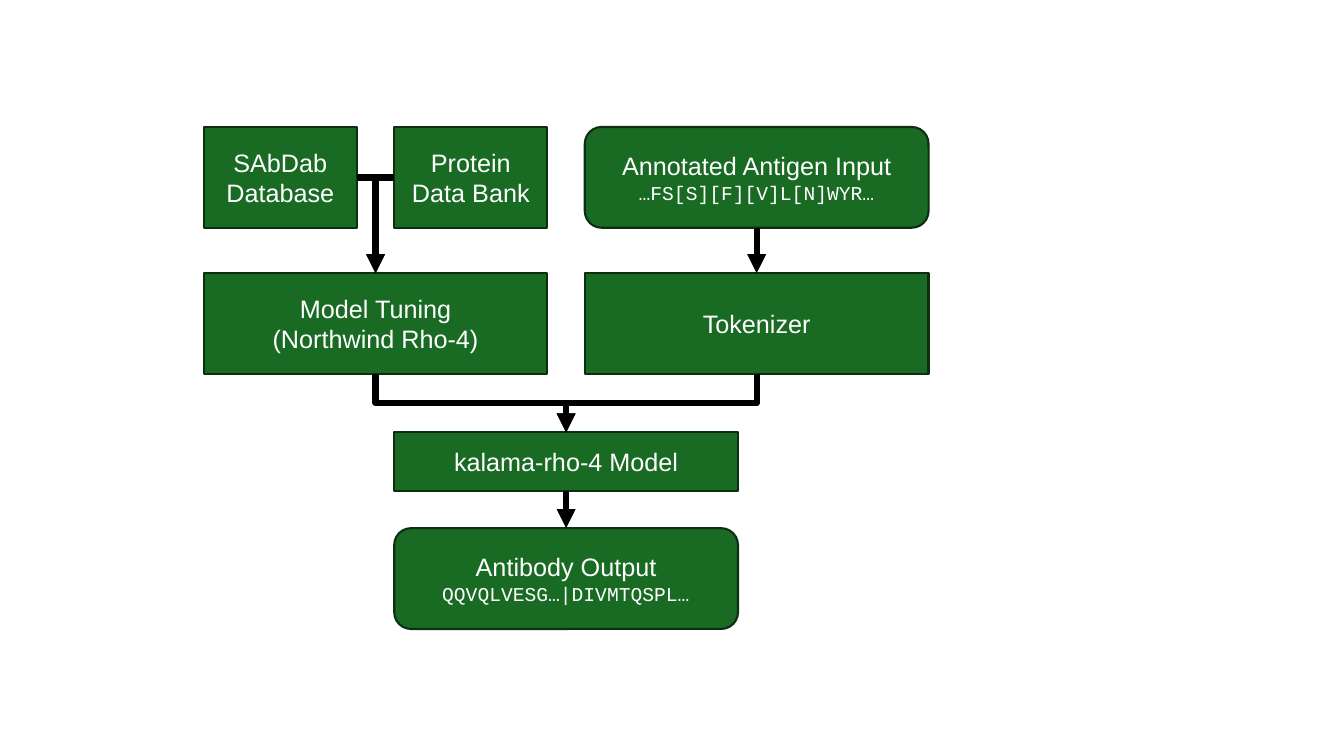
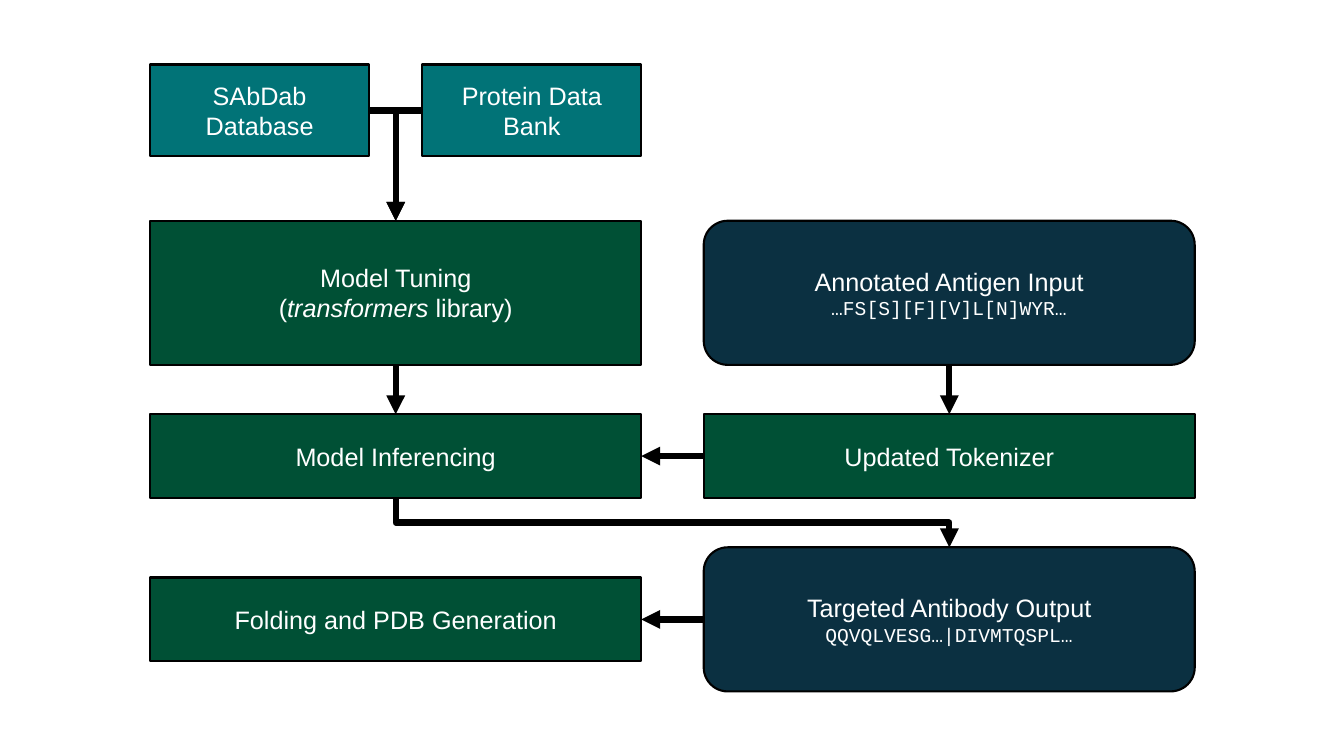
from pptx import Presentation
from pptx.dml.color import RGBColor
from pptx.enum.shapes import MSO_CONNECTOR, MSO_SHAPE
from pptx.enum.text import MSO_ANCHOR, PP_ALIGN
from pptx.oxml.ns import qn
from pptx.util import Inches, Pt
from lxml import etree

RECTANGLE, ROUNDED = MSO_SHAPE.RECTANGLE, MSO_SHAPE.ROUNDED_RECTANGLE
STRAIGHT, ELBOW = MSO_CONNECTOR.STRAIGHT, MSO_CONNECTOR.ELBOW
MIDDLE, CENTER = MSO_ANCHOR.MIDDLE, PP_ALIGN.CENTER
TOP, LEFT, BOTTOM, RIGHT = range(4)

COLORS = {"leaf": "196B24", "leaf edge": "0B2F10", "teal": "017377",
          "forest": "005035", "navy": "0B3041", "black": "000000", "white": "FFFFFF"}
# Style: fill, outline, shape; the second line of a rounded box is a sequence
STYLES = {
    "step": ("leaf", "leaf edge", RECTANGLE),
    "sequence": ("leaf", "leaf edge", ROUNDED),
    "source": ("teal", "black", RECTANGLE),
    "stage": ("forest", "black", RECTANGLE),
    "data": ("navy", "black", ROUNDED),
}
# Elbow geometry by (leaves sideways, heads left): preset, rotation, flip
ELBOWS = {
    (True, False): ("bentConnector2", 0, None),
    (True, True): ("bentConnector2", 180, "flipV"),
    (False, False): ("bentConnector3", 270, "flipH"),
    (False, True): ("bentConnector3", 90, None),
}

# Slide content: boxes are (name, style, column, width, row, lines)
FLOWS = [
    {
        "columns": [2.02 + 1.89 * number for number in range(3)],
        "widths": {"half": 1.52, "full": 3.41},
        "rows": [(1.26, 1), (2.71, 1), (4.29, 0.58), (5.24, 1)],
        "boxes": [
            ("antibodies", "step", 0, "half", 0, ["SAbDab Database"]),
            ("proteins", "step", 1, "half", 0, ["Protein Data Bank"]),
            ("input", "sequence", 2, "full", 0,
             ["Annotated Antigen Input", "…FS[S][F][V]L[N]WYR…"]),
            ("tuning", "step", 0, "full", 1, ["Model Tuning", "(Northwind Rho-4)"]),
            ("tokenizer", "step", 2, "full", 1, ["Tokenizer"]),
            ("model", "step", 1, "full", 2, ["kalama-rho-4 Model"]),
            ("output", "sequence", 1, "full", 3,
             ["Antibody Output", "QQVQLVESG…|DIVMTQSPL…"]),
        ],
        "arrows": [
            ("antibodies", RIGHT, "tuning", TOP),
            ("proteins", LEFT, "tuning", TOP),
            ("input", BOTTOM, "tokenizer", TOP),
            ("tuning", BOTTOM, "model", TOP),
            ("tokenizer", BOTTOM, "model", TOP),
            ("model", BOTTOM, "output", TOP),
        ],
    },
    {
        "columns": [1.49, 4.19, 6.98],
        "widths": {"half": 2.17, "full": 4.87},
        "rows": [(0.64, 0.91), (2.19, 1.43), (4.11, 0.83), (5.43, 1.43), (5.73, 0.83)],
        "boxes": [
            ("antibodies", "source", 0, "half", 0, ["SAbDab Database"]),
            ("proteins", "source", 1, "half", 0, ["Protein Data Bank"]),
            ("tuning", "stage", 0, "full", 1,
             ["Model Tuning", "(*transformers* library)"]),
            ("input", "data", 2, "full", 1,
             ["Annotated Antigen Input", "…FS[S][F][V]L[N]WYR…"]),
            ("inferencing", "stage", 0, "full", 2, ["Model Inferencing"]),
            ("tokenizer", "stage", 2, "full", 2, ["Updated Tokenizer"]),
            ("output", "data", 2, "full", 3,
             ["Targeted Antibody Output", "QQVQLVESG…|DIVMTQSPL…"]),
            ("folding", "stage", 0, "full", 4, ["Folding and PDB Generation"]),
        ],
        "arrows": [
            ("antibodies", RIGHT, "tuning", TOP),
            ("proteins", LEFT, "tuning", TOP),
            ("tuning", BOTTOM, "inferencing", TOP),
            ("input", BOTTOM, "tokenizer", TOP),
            ("tokenizer", LEFT, "inferencing", RIGHT),
            ("inferencing", BOTTOM, "output", TOP),
            ("output", LEFT, "folding", RIGHT),
        ],
    },
]


def color(name):
    return RGBColor.from_string(COLORS[name])


def add_box(page, style, left, top, width, height, lines):
    fill, edge, kind = STYLES[style]
    box = page.shapes.add_shape(kind, *map(Inches, (left, top, width, height)))
    box.shadow.inherit = False
    box.fill.solid()
    box.fill.fore_color.rgb = color(fill)
    box.line.color.rgb = color(edge)
    box.line.width = Pt(1.5)
    frame = box.text_frame
    frame.word_wrap = True
    frame.vertical_anchor = MIDDLE
    for row, line in enumerate(lines):
        para = frame.add_paragraph() if row else frame.paragraphs[0]
        para.alignment = CENTER
        is_code = kind == ROUNDED and row == 1
        # Text between asterisks is italic
        for number, part in enumerate(line.split("*")):
            span = para.add_run()
            span.text = part
            span.font.name = "Courier New" if is_code else "Arial"
            span.font.size = Pt(14 if is_code else 18)
            span.font.color.rgb = color("white")
            if number % 2:
                span.font.italic = True
    return box


def side_point(box, side):
    across = {LEFT: 0, RIGHT: box.width}.get(side, box.width // 2)
    down = {TOP: 0, BOTTOM: box.height}.get(side, box.height // 2)
    return box.left + across, box.top + down


def bend(arrow, start, end, sideways):
    """Turn the connector so that it leaves and arrives on the right sides."""
    preset, angle, flip = ELBOWS[sideways, end[0] < start[0]]
    width, height = abs(end[0] - start[0]), abs(end[1] - start[1])
    center_x, center_y = (start[0] + end[0]) // 2, (start[1] + end[1]) // 2
    if angle in (90, 270):
        width, height = height, width
    arrow.left, arrow.top = center_x - width // 2, center_y - height // 2
    arrow.width, arrow.height = width, height
    properties = arrow.element.spPr
    properties.find(qn("a:prstGeom")).set("prst", preset)
    frame = properties.find(qn("a:xfrm"))
    for name in ("flipH", "flipV"):
        frame.attrib.pop(name, None)
    frame.set("rot", str(angle * 60000))
    if flip:
        frame.set(flip, "1")


def add_arrow(page, source, source_side, target, target_side):
    start, end = side_point(source, source_side), side_point(target, target_side)
    offsets = [abs(a - b) for a, b in zip(start, end)]
    is_straight = min(offsets) < Inches(0.02)
    arrow = page.shapes.add_connector(STRAIGHT if is_straight else ELBOW, *start, *end)
    arrow.begin_connect(source, source_side)
    arrow.end_connect(target, target_side)
    if not is_straight:
        bend(arrow, start, end, source_side in (LEFT, RIGHT))
    arrow.line.color.rgb = color("black")
    arrow.line.width = Pt(4.5)
    properties = arrow.element.spPr
    etree.SubElement(properties.find(qn("a:ln")), qn("a:tailEnd"), type="triangle")
    etree.SubElement(properties, qn("a:effectLst"))


def add_flow(page, flow):
    boxes = {}
    for name, style, column, width, row, lines in flow["boxes"]:
        top, height = flow["rows"][row]
        boxes[name] = add_box(page, style, flow["columns"][column], top,
                              flow["widths"][width], height, lines)
    for source, source_side, target, target_side in flow["arrows"]:
        add_arrow(page, boxes[source], source_side, boxes[target], target_side)


def main():
    deck = Presentation()
    deck.slide_width, deck.slide_height = Inches(13.33), Inches(7.5)
    for flow in FLOWS:
        add_flow(deck.slides.add_slide(deck.slide_layouts[6]), flow)
    deck.save("out.pptx")


if __name__ == "__main__":
    main()
